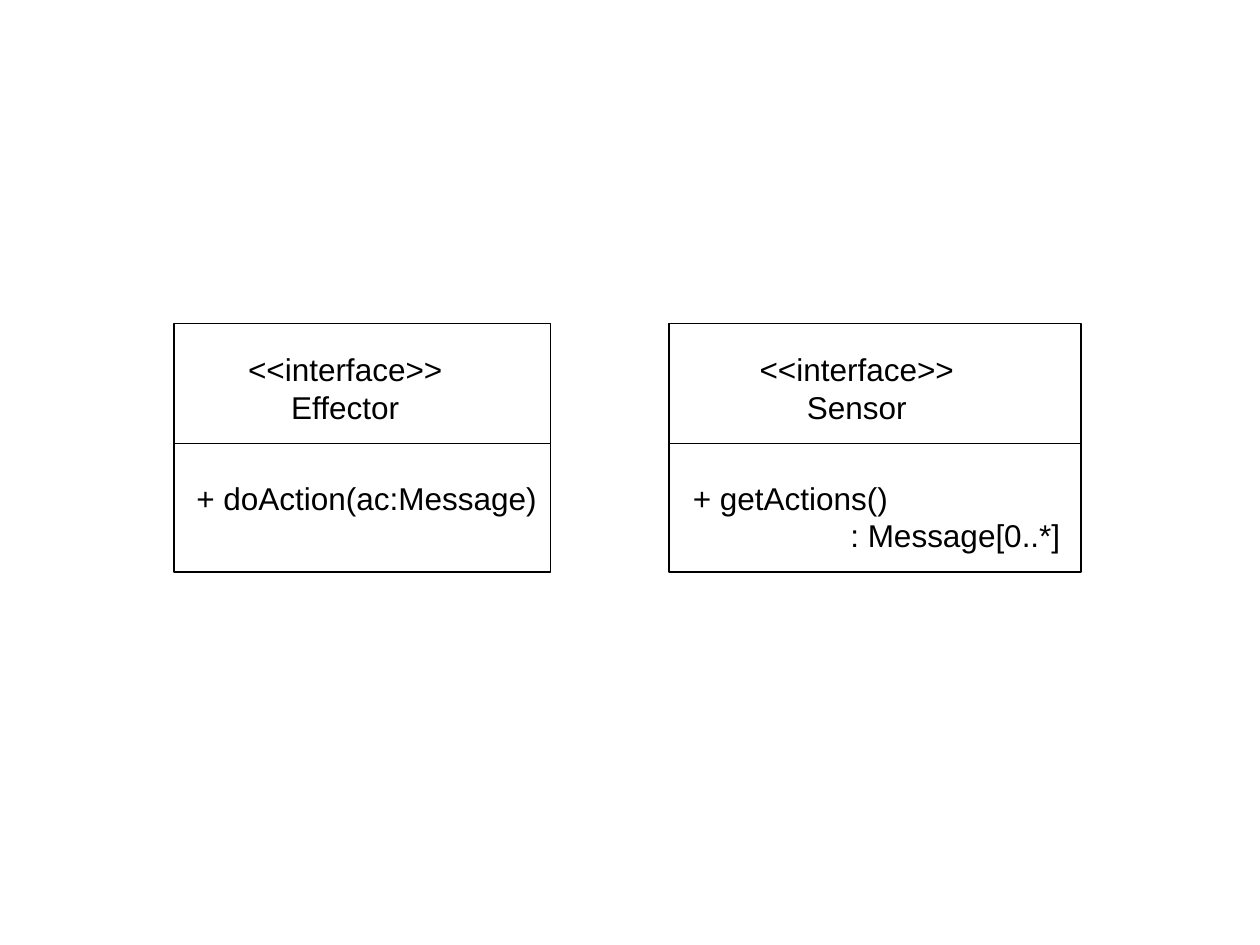
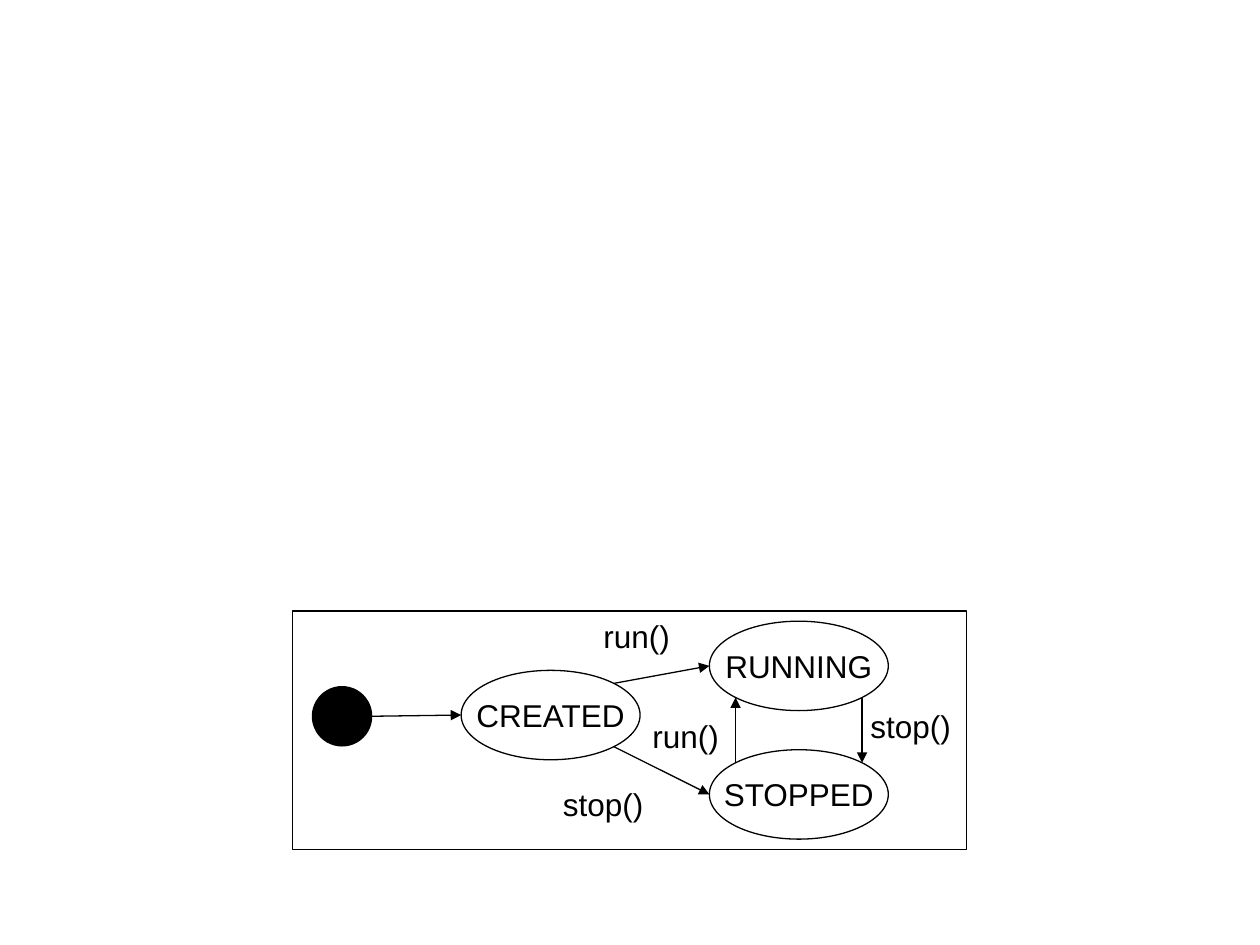
import math
from dataclasses import dataclass

from lxml import etree
from pptx import Presentation
from pptx import util as u
from pptx.dml import color
from pptx.enum import shapes, text
from pptx.oxml import ns

INK = "000000"
PAPER = "FFFFFF"
FONT = "Arial"
TEXT_SIZE = 18
LINE_WIDTH = 0.75
BLANK_LAYOUT = 6
RECTANGLE = shapes.MSO_SHAPE.RECTANGLE
ELLIPSE = shapes.MSO_SHAPE.OVAL
LEFT = text.PP_ALIGN.LEFT
CENTER = text.PP_ALIGN.CENTER

CLASS_TOP, CLASS_HEIGHT, DIVIDER_Y = 2.57, 1.97, 3.52
HEADING_TOP, HEADING_WIDTH, METHODS_TOP = 2.73, 1.74, 3.75
LINE_HEIGHT, BOX_PADDING = 0.3, 0.1
RETURN_INDENT = 1.25
STATE_WIDTH, STATE_HEIGHT = 1.42, 0.71
RIGHT, UPPER_RIGHT, UPPER_LEFT, AT_LEFT, LOWER_LEFT, LOWER_RIGHT = 0, 45, 135, 180, 225, 315


@dataclass(frozen=True)
class Line:
    words: str
    indent: float = 0


@dataclass(frozen=True)
class Interface:
    name: str
    left: float
    width: float
    heading_left: float
    methods_left: float
    methods_width: float
    methods: tuple[Line, ...]


@dataclass(frozen=True)
class State:
    left: float
    top: float
    name: str = ""
    width: float = STATE_WIDTH
    height: float = STATE_HEIGHT
    fill: str = PAPER

    def rim(self, degrees: float) -> tuple[float, float]:
        angle = math.radians(degrees)
        return (self.left + self.width / 2 * (1 + math.cos(angle)),
                self.top + self.height / 2 * (1 - math.sin(angle)))


@dataclass(frozen=True)
class Transition:
    source: State
    source_angle: float
    target: State
    target_angle: float


@dataclass(frozen=True)
class Label:
    words: str
    left: float
    top: float
    width: float


INTERFACES = (
    Interface("Effector", 1.38, 2.99, 1.87, 1.46, 2.9,
              (Line("+ doAction(ac:Message)"),)),
    Interface("Sensor", 5.31, 3.27, 5.93, 5.4, 3.12,
              (Line("+ getActions()"), Line(": Message[0..*]", RETURN_INDENT))),
)

START = State(2.48, 5.45, width=0.47, height=0.47, fill=INK)
CREATED = State(3.66, 5.32, "CREATED")
RUNNING = State(5.63, 4.93, "RUNNING")
STOPPED = State(5.63, 5.95, "STOPPED")
STATES = (START, CREATED, RUNNING, STOPPED)

TRANSITIONS = (
    Transition(START, RIGHT, CREATED, AT_LEFT),
    Transition(CREATED, UPPER_RIGHT, RUNNING, AT_LEFT),
    Transition(RUNNING, LOWER_RIGHT, STOPPED, UPPER_RIGHT),
    Transition(STOPPED, UPPER_LEFT, RUNNING, LOWER_LEFT),
    Transition(CREATED, LOWER_RIGHT, STOPPED, AT_LEFT),
)

LABELS = (
    Label("run()", 4.69, 4.85, 0.73),
    Label("run()", 5.08, 5.64, 0.73),
    Label("stop()", 6.81, 5.56, 0.84),
    Label("stop()", 4.37, 6.18, 0.84),
)


def rgb(value: str) -> color.RGBColor:
    return color.RGBColor.from_string(value)


def style_line(line) -> None:
    line.color.rgb = rgb(INK)
    line.width = u.Pt(LINE_WIDTH)


def write(frame, lines: tuple[Line, ...], align) -> None:
    frame.word_wrap = False
    for index, line in enumerate(lines):
        para = frame.add_paragraph() if index else frame.paragraphs[0]
        para.alignment = align
        if line.indent:
            para._p.get_or_add_pPr().set("marL", str(u.Inches(line.indent)))
        span = para.add_run()
        span.text = line.words
        span.font.name = FONT
        span.font.size = u.Pt(TEXT_SIZE)
        span.font.color.rgb = rgb(INK)


def add_outline(canvas, kind, left: float, top: float, width: float, height: float,
                fill: str = PAPER):
    shape = canvas.add_shape(kind, u.Inches(left), u.Inches(top),
                             u.Inches(width), u.Inches(height))
    shape.shadow.inherit = False
    shape.fill.solid()
    shape.fill.fore_color.rgb = rgb(fill)
    style_line(shape.line)
    return shape


def add_text(canvas, left: float, top: float, width: float,
             lines: tuple[Line, ...], align=LEFT) -> None:
    height = LINE_HEIGHT * len(lines) + BOX_PADDING
    box = canvas.add_textbox(u.Inches(left), u.Inches(top),
                             u.Inches(width), u.Inches(height))
    write(box.text_frame, lines, align)
    box.text_frame.auto_size = text.MSO_AUTO_SIZE.SHAPE_TO_FIT_TEXT


def add_line(canvas, start: tuple[float, float], end: tuple[float, float],
             arrow: bool = False) -> None:
    points = [u.Inches(value) for value in (*start, *end)]
    connector = canvas.add_connector(shapes.MSO_CONNECTOR.STRAIGHT, *points)
    style_line(connector.line)
    if arrow:
        outline = connector.line._get_or_add_ln()
        etree.SubElement(outline, ns.qn("a:tailEnd"), type="triangle")
    etree.SubElement(connector._element.spPr, ns.qn("a:effectLst"))


def add_interface(page, item: Interface) -> None:
    canvas = page.shapes.add_group_shape().shapes
    add_outline(canvas, RECTANGLE, item.left, CLASS_TOP, item.width, CLASS_HEIGHT)
    add_text(canvas, item.heading_left, HEADING_TOP, HEADING_WIDTH,
             (Line("<<interface>>"), Line(item.name)), CENTER)
    add_line(canvas, (item.left, DIVIDER_Y), (item.left + item.width, DIVIDER_Y))
    add_text(canvas, item.methods_left, METHODS_TOP, item.methods_width, item.methods)


def add_state(page, state: State) -> None:
    shape = add_outline(page.shapes, ELLIPSE, state.left, state.top,
                        state.width, state.height, state.fill)
    if state.name:
        shape.text_frame.vertical_anchor = text.MSO_ANCHOR.MIDDLE
        write(shape.text_frame, (Line(state.name),), CENTER)


def build_interfaces(page) -> None:
    for item in INTERFACES:
        add_interface(page, item)


def build_life_cycle(page) -> None:
    add_outline(page.shapes, RECTANGLE, 2.32, 4.85, 5.35, 1.89)
    for state in STATES:
        add_state(page, state)
    for move in TRANSITIONS:
        add_line(page.shapes, move.source.rim(move.source_angle),
                 move.target.rim(move.target_angle), arrow=True)
    for label in LABELS:
        add_text(page.shapes, label.left, label.top, label.width, (Line(label.words),))


def main() -> None:
    deck = Presentation()
    deck.slide_width, deck.slide_height = u.Inches(10), u.Inches(7.5)
    for build in (build_interfaces, build_life_cycle):
        build(deck.slides.add_slide(deck.slide_layouts[BLANK_LAYOUT]))
    deck.save("out.pptx")


if __name__ == "__main__":
    main()
